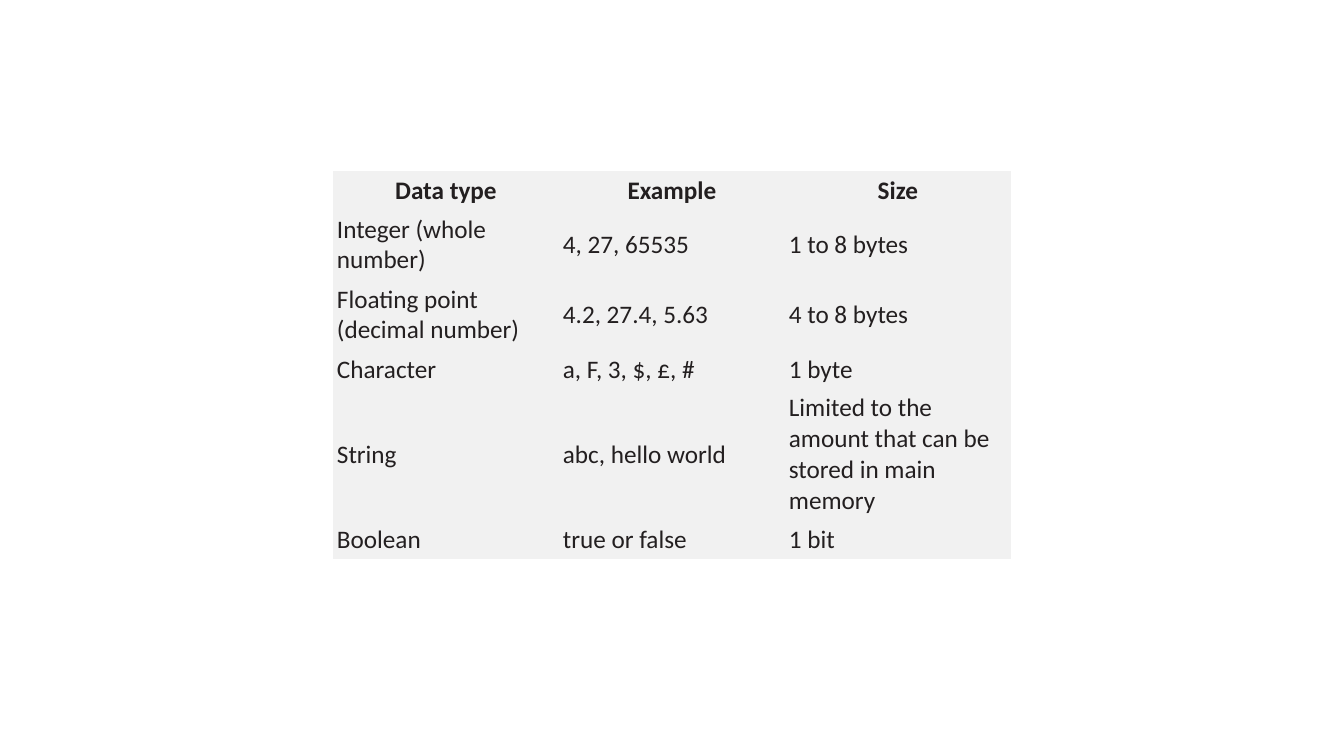
from pptx import Presentation
from pptx import util as u
from pptx.dml.color import RGBColor
from pptx.enum import text
from pptx.oxml import ns

PX = 914400 / 100.8
INK = RGBColor(0x23, 0x1F, 0x20)
PANEL = RGBColor(0xF1, 0xF1, 0xF1)
FONT = "Calibri"
PLAIN_STYLE = "{2D5ABB26-0587-4C30-8999-92F81FD0307C}"

SLIDE_W, SLIDE_H = 1344, 756
TOP = 171
COL_W = 226
INSET = 4

DATA_TYPES = [
    (39, ("Data type", "Example", "Size")),
    (70, ("Integer (whole number)", "4, 27, 65535", "1 to 8 bytes")),
    (70, ("Floating point (decimal number)", "4.2, 27.4, 5.63", "4 to 8 bytes")),
    (39, ("Character", "a, F, 3, $, £, #", "1 byte")),
    (131, ("String", "abc, hello world",
           "Limited to the amount that can be stored in main memory")),
    (39, ("Boolean", "true or false", "1 bit")),
]


def px(n):
    return u.Emu(round(n * PX))


def fill_cell(cell, words, header):
    cell.fill.solid()
    cell.fill.fore_color.rgb = PANEL
    cell.vertical_anchor = text.MSO_ANCHOR.MIDDLE
    cell.margin_left = cell.margin_right = px(INSET)
    cell.margin_top = cell.margin_bottom = px(INSET)
    p = cell.text_frame.paragraphs[0]
    p.alignment = text.PP_ALIGN.CENTER if header else text.PP_ALIGN.LEFT
    r = p.add_run()
    r.text = words
    r.font.name = FONT
    r.font.size = u.Pt(18)
    r.font.bold = header
    r.font.color.rgb = INK


def add_data_table(s, rows):
    n_cols = len(rows[0][1])
    width = n_cols * COL_W
    height = sum(h for h, _ in rows)
    frame = s.shapes.add_table(len(rows), n_cols, px((SLIDE_W - width) / 2),
                               px(TOP), px(width), px(height))
    table = frame.table
    table.horz_banding = False
    style = next(table._tbl.iter(ns.qn("a:tableStyleId")))
    style.text = PLAIN_STYLE
    for col in table.columns:
        col.width = px(COL_W)
    for i, (h, row) in enumerate(rows):
        table.rows[i].height = px(h)
        for j, words in enumerate(row):
            fill_cell(table.cell(i, j), words, i == 0)


def main():
    prs = Presentation()
    prs.slide_width, prs.slide_height = px(SLIDE_W), px(SLIDE_H)
    s = prs.slides.add_slide(prs.slide_layouts[6])
    add_data_table(s, DATA_TYPES)
    prs.save("out.pptx")


if __name__ == "__main__":
    main()
